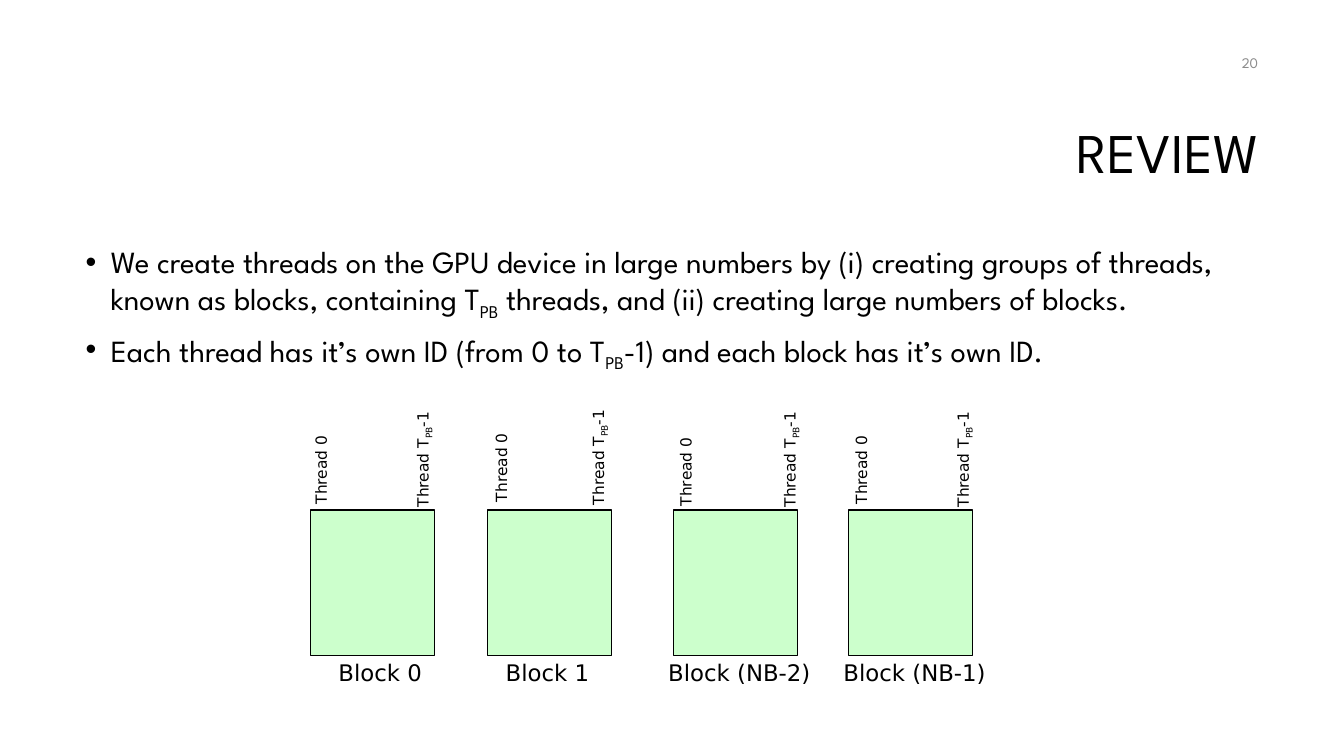
from dataclasses import dataclass

import pptx
import pptx.dml.color
import pptx.enum.shapes
import pptx.enum.text
import pptx.oxml.ns
import pptx.util
from lxml import etree

Pt = pptx.util.Pt
RGB = pptx.dml.color.RGBColor
Align = pptx.enum.text.PP_ALIGN
Anchor = pptx.enum.text.MSO_ANCHOR


@dataclass(frozen=True)
class Theme:
    ink: RGB = RGB(0, 0, 0)
    grey: RGB = RGB(0x8C, 0x8C, 0x8C)
    mint: RGB = RGB(0xCC, 0xFF, 0xCC)
    prose: str = "League Spartan"
    plain: str = "DejaVu Sans"
    title: float = 40
    body: float = 22
    label: float = 16.3
    thread: float = 11
    page: float = 10.5


@dataclass(frozen=True)
class Run:
    text: str
    sub: bool = False


@dataclass(frozen=True)
class Style:
    face: str
    size: float
    ink: RGB
    align: Align = Align.LEFT


@dataclass(frozen=True)
class Box:
    left: float
    top: float
    width: float
    height: float
    turn: float = 0


@dataclass(frozen=True)
class Block:
    name: str
    left: float
    text_left: float
    text_width: float
    first: tuple[float, float]
    last: tuple[float, float]


THEME = Theme()
SUB = Run("PB", True)
FIRST = [Run("Thread 0")]
LAST = [Run("Thread T"), SUB, Run("-1")]
POINTS = [
    [
        Run("We create threads on the GPU device in large numbers by (i) creating "
            "groups of threads, known as blocks, containing T"),
        SUB,
        Run(" threads, and (ii) creating large numbers of blocks."),
    ],
    [
        Run("Each thread has it’s own ID (from 0 to T"),
        SUB,
        Run("-1) and each block has it’s own ID."),
    ],
]
BLOCKS = [
    Block("Block 0", 221.8, 234.7, 81.4, (195.8, 323.3), (255.6, 312.5)),
    Block("Block 1", 348.5, 354.2, 81.4, (324.7, 321.8), (380.9, 311)),
    Block("Block (NB-2)", 481, 470.2, 125.3, (456.5, 324.7), (517.7, 312.5)),
    Block("Block (NB-1)", 606.2, 595.4, 125.3, (581.8, 323.3), (641.5, 312.5)),
]


def place(shape, box: Box) -> None:
    shape.left, shape.top = Pt(box.left), Pt(box.top)
    shape.width, shape.height = Pt(box.width), Pt(box.height)
    shape.rotation = box.turn


def write(par, runs: list[Run], style: Style) -> None:
    par.alignment = style.align
    par.space_before = Pt(0)
    for part in runs:
        run = par.add_run()
        run.text = part.text
        run.font.name = style.face
        run.font.size = Pt(style.size)
        run.font.color.rgb = style.ink
        if part.sub:
            run._r.get_or_add_rPr().set("baseline", "-25000")


def add_text(slide, box: Box, runs: list[Run], style: Style,
             anchor: Anchor = Anchor.TOP) -> None:
    shape = slide.shapes.add_textbox(0, 0, 0, 0)
    place(shape, box)
    frame = shape.text_frame
    frame.word_wrap = True
    frame.vertical_anchor = anchor
    write(frame.paragraphs[0], runs, style)


def add_bullet(par) -> None:
    props = par._p.get_or_add_pPr()
    props.set("marL", str(Pt(18)))
    props.set("indent", str(Pt(-18)))
    mark = etree.SubElement(props, pptx.oxml.ns.qn("a:buChar"))
    mark.set("char", "•")


def fill_title(slide) -> None:
    title = slide.shapes.title
    place(title, Box(228.2, 60.5, 678.2, 101.5))
    frame = title.text_frame
    frame.auto_size = pptx.enum.text.MSO_AUTO_SIZE.NONE
    frame.vertical_anchor = Anchor.MIDDLE
    par = frame.paragraphs[0]
    par.line_spacing = 0.9
    write(par, [Run("REVIEW")],
          Style(THEME.prose, THEME.title, THEME.ink, Align.RIGHT))


def fill_body(slide) -> None:
    body = slide.placeholders[1]
    place(body, Box(54, 172.8, 851.8, 316.8))
    frame = body.text_frame
    frame.auto_size = pptx.enum.text.MSO_AUTO_SIZE.NONE
    style = Style(THEME.prose, THEME.body, THEME.ink)
    for rank, runs in enumerate(POINTS):
        par = frame.add_paragraph() if rank else frame.paragraphs[0]
        add_bullet(par)
        write(par, runs, style)
        par.line_spacing = 0.9
        if rank:
            par.space_before = Pt(10)


def draw_block(slide, block: Block) -> None:
    square = slide.shapes.add_shape(
        pptx.enum.shapes.MSO_SHAPE.RECTANGLE, 0, 0, 0, 0)
    place(square, Box(block.left, 364.3, 88.6, 103.7))
    square.shadow.inherit = False
    square.fill.solid()
    square.fill.fore_color.rgb = THEME.mint
    square.line.color.rgb = THEME.ink
    square.line.width = Pt(0.75)
    add_text(slide, Box(block.text_left, 467.3, block.text_width, 27.4),
             [Run(block.name)], Style(THEME.plain, THEME.label, THEME.ink))
    small = Style(THEME.plain, THEME.thread, THEME.ink)
    for spot, width, runs in ((block.first, 67, FIRST), (block.last, 92.9, LAST)):
        add_text(slide, Box(*spot, width, 20.9, 270), runs, small)


def main() -> None:
    deck = pptx.Presentation()
    deck.slide_width, deck.slide_height = Pt(960), Pt(540)
    slide = deck.slides.add_slide(deck.slide_layouts[1])
    fill_title(slide)
    fill_body(slide)
    add_text(slide, Box(689.8, 30.2, 216, 28.8), [Run("20")],
             Style(THEME.prose, THEME.page, THEME.grey, Align.RIGHT),
             Anchor.MIDDLE)
    for block in BLOCKS:
        draw_block(slide, block)
    deck.save("out.pptx")


if __name__ == "__main__":
    main()
